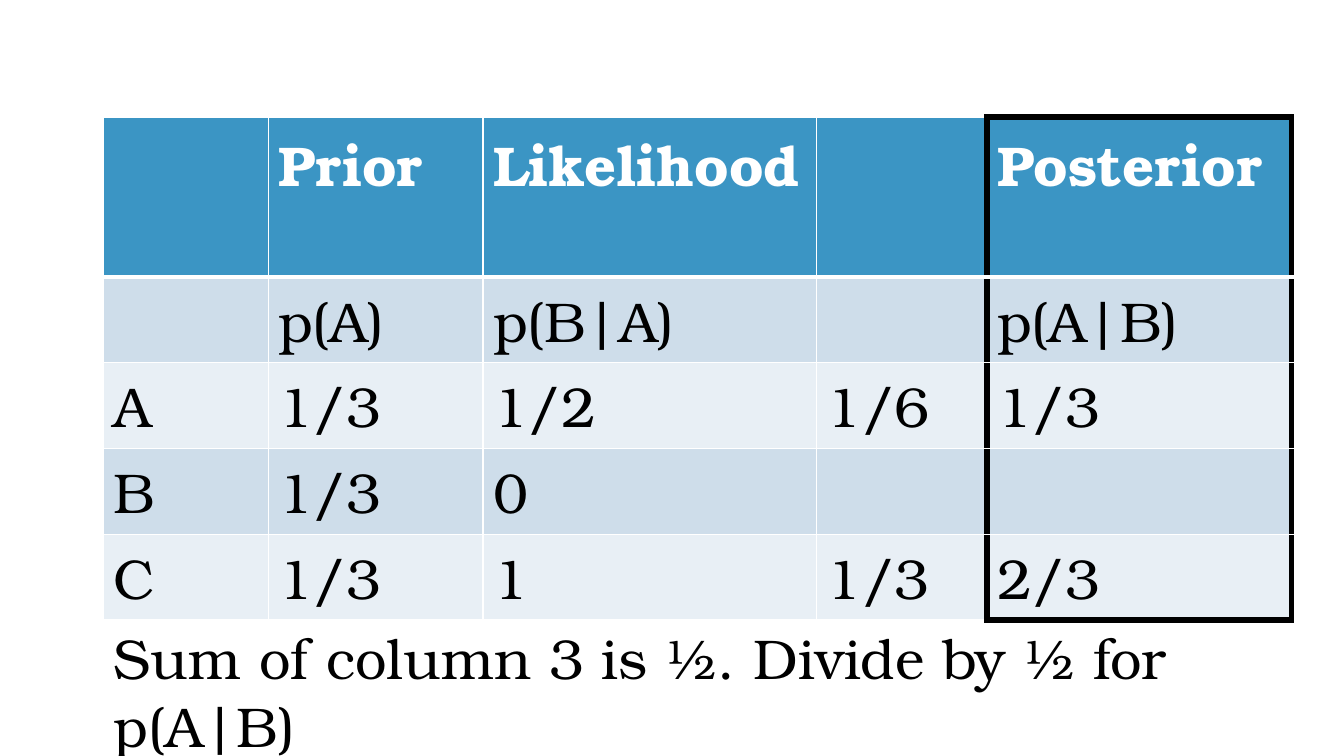
from lxml.etree import SubElement
from pptx import Presentation
from pptx.dml.color import RGBColor
from pptx.enum.text import MSO_AUTO_SIZE
from pptx.oxml.ns import qn
from pptx.util import Inches, Pt

HEADER, BANDS = "3B95C4", ("E8EFF5", "CEDDEA")
WHITE, BLACK = "FFFFFF", "000000"
LEFT, TOP, WIDTH = 1.03, 1.16, 11.79
COLS = [1.63, 2.13, 3.31, 1.69, 3.02]
ROWS = [1.59] + [0.85] * 4
DATA = [
    ["", "Prior", "Likelihood", "", "Posterior"],
    ["", "p(A)", "p(B|A)", "", "p(A|B)"],
    ["A", "1/3", "1/2", "1/6", "1/3"],
    ["B", "1/3", "0", "", ""],
    ["C", "1/3", "1", "1/3", "2/3"],
]


def rgb(value):
    """Return the colour for a hex string."""
    return RGBColor.from_string(value)


class Deck:
    """Hold the text style and the current slide."""

    def __init__(self, prs):
        """Add a blank slide to the presentation."""
        self.slide = prs.slides.add_slide(prs.slide_layouts[6])
        self.style = {"name": "TeX Gyre Bonum", "size": Pt(40)}

    def add_run(self, tf, text, color=BLACK, **extra):
        """Add one styled run to a text frame."""
        r = tf.paragraphs[0].add_run()
        r.text = text
        for key, value in {**self.style, **extra}.items():
            setattr(r.font, key, value)
        r.font.color.rgb = rgb(color)

    def text(self, text, x, y, w, h):
        """Add a wrapped text box that grows with its text."""
        tf = self.slide.shapes.add_textbox(*map(Inches, (x, y, w, h))).text_frame
        for key, value in {"word_wrap": True, "auto_size": MSO_AUTO_SIZE.SHAPE_TO_FIT_TEXT}.items():
            setattr(tf, key, value)
        self.add_run(tf, text)

    def borders(self, cell, sides):
        """Draw the four cell borders from colour and width pairs."""
        pr = cell._tc.get_or_add_tcPr()
        for i, side in enumerate("LRTB"):
            color, width = sides[side]
            ln = SubElement(pr, qn("a:ln" + side), w=str(Pt(width)))
            fill = SubElement(ln, qn("a:solidFill"))
            SubElement(fill, qn("a:srgbClr"), val=color)
            pr.insert(i, ln)

    def table(self, data, x, y, cols, rows):
        """Add a banded table whose last column is outlined."""
        size = map(Inches, (x, y, sum(cols), sum(rows)))
        table = self.slide.shapes.add_table(len(rows), len(cols), *size).table
        for col, width in zip(table.columns, cols):
            col.width = Inches(width)
        for row, height in zip(table.rows, rows):
            row.height = Inches(height)
        last_row, last_col = len(rows) - 1, len(cols) - 1
        thin, header, thick = (WHITE, 1), (WHITE, 3), (BLACK, 4.5)
        for i, line in enumerate(data):
            for j, text in enumerate(line):
                cell, posterior = table.cell(i, j), j == last_col
                cell.fill.solid()
                cell.fill.fore_color.rgb = rgb(BANDS[i % 2] if i else HEADER)
                if text:
                    self.add_run(cell.text_frame, text, BLACK if i else WHITE, bold=i == 0)
                sides = dict.fromkeys("LRTB", thin)
                if i < 2:
                    sides["T" if i else "B"] = header
                if posterior:
                    sides.update(L=thick, R=thick)
                    if i in (0, last_row):
                        sides["B" if i else "T"] = thick
                elif j == last_col - 1:
                    sides["R"] = thick
                self.borders(cell, sides)


prs = Presentation()
prs.slide_width, prs.slide_height = Inches(13.33), Inches(7.5)
deck = Deck(prs)
deck.table(DATA, LEFT, TOP, COLS, ROWS)
deck.text("Sum of column 3 is ½. Divide by ½ for p(A|B) ", LEFT, 6.14, WIDTH, 0.77)
prs.save("out.pptx")
